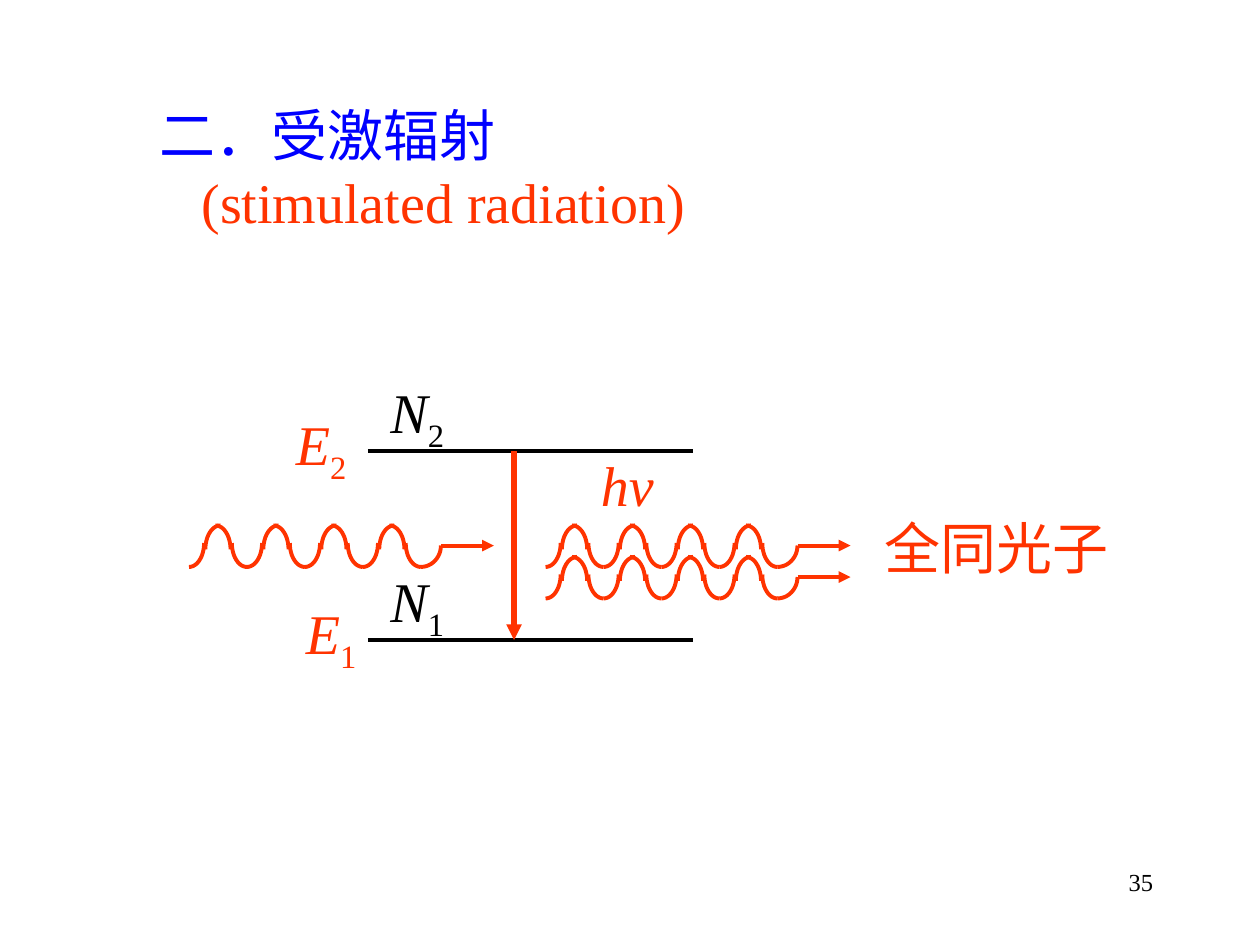
import math

from lxml import etree
from pptx import Presentation
from pptx.dml.color import RGBColor
from pptx.enum.shapes import MSO_CONNECTOR
from pptx.enum.text import MSO_AUTO_SIZE, PP_ALIGN
from pptx.oxml.ns import qn
from pptx.util import Inches, Pt

STRAIGHT = MSO_CONNECTOR.STRAIGHT
FIT_TEXT = MSO_AUTO_SIZE.SHAPE_TO_FIT_TEXT
LEFT, RIGHT = PP_ALIGN.LEFT, PP_ALIGN.RIGHT
FONT = "Times New Roman"
BLACK, BLUE, RED = "000000", "0000FF", "FF3300"
PERIODS, PERIOD = 4, 0.46


def color(value):
    """Turn a hex string into a colour."""
    return RGBColor.from_string(value)


def style_para(para, text, hue, size=32, italic=False, align=LEFT):
    """Fill a paragraph and set its font."""
    para.add_run().text = text
    para.alignment = align
    para.font.name = FONT
    para.font.size = Pt(size)
    para.font.italic = italic
    para.font.color.rgb = color(hue)


def add_text(shapes, box, text, hue, wrap=False, **style):
    """Add a text box with one paragraph and return its frame."""
    frame = shapes.add_textbox(*map(Inches, box)).text_frame
    frame.word_wrap = wrap
    style_para(frame.paragraphs[0], text, hue, **style)
    return frame


def add_line(shapes, start, end, hue, width=2.25, arrow=False):
    """Add a straight line, with an arrowhead at its end if asked."""
    line = shapes.add_connector(STRAIGHT, *map(Inches, (*start, *end)))
    line.line.color.rgb = color(hue)
    line.line.width = Pt(width)
    if arrow:
        etree.SubElement(line.line._get_or_add_ln(), qn("a:tailEnd"), type="triangle")
    etree.SubElement(line._element.spPr, qn("a:effectLst"))


def add_quarter(shapes, apex, width, height, steps=12):
    """Draw a quarter ellipse from its flat apex to its upright side."""
    angles = [math.pi / 2 * step / steps for step in range(steps + 1)]
    points = [
        (Inches(apex[0] + width * math.sin(angle)),
         Inches(apex[1] + height * (1 - math.cos(angle))))
        for angle in angles
    ]
    builder = shapes.build_freeform(*points[0])
    builder.add_line_segments(points[1:], close=False)
    curve = builder.convert_to_shape()
    curve.fill.background()
    curve.line.color.rgb = color(RED)
    curve.line.width = Pt(2.25)
    curve.shadow.inherit = False


def add_photon(shapes, left, top):
    """Draw a wavy photon that ends in an arrow."""
    bottom = top + 0.33
    for index in range(PERIODS):
        start = left + index * PERIOD
        add_quarter(shapes, (start + 0.25, top), -0.12, 0.19)
        add_quarter(shapes, (start, bottom), 0.12, -0.19)
        add_quarter(shapes, (start + 0.21, top), 0.12, 0.19)
        add_quarter(shapes, (start + PERIOD, bottom), -0.12, -0.19)
    add_quarter(shapes, (left + PERIODS * PERIOD, bottom), 0.16, -0.17)
    level = bottom - 0.17
    add_line(shapes, (left + 2, level), (left + 2.42, level), RED, arrow=True)


def add_symbol(shapes, box, letter, index, hue):
    """Add an italic letter with an upright subscript."""
    frame = add_text(shapes, box, letter, hue, italic=True)
    frame.auto_size = FIT_TEXT
    span = frame.paragraphs[0].add_run()
    span.text = index
    span.font.italic = False
    span.font._element.set("baseline", "-25000")


def add_heading(page, box):
    """Add the section title and its indented translation."""
    frame = add_text(page.shapes, box, "二．受激辐射", BLUE, wrap=True)
    para = frame.add_paragraph()
    style_para(para, "(stimulated radiation)", RED)
    para._p.get_or_add_pPr().set("marL", str(Inches(0.33)))


def add_levels(page, left, top):
    """Draw the two energy levels with their labels."""
    shapes = page.shapes.add_group_shape().shapes
    for index, label_left, offset in (("1", 2.33, 1.5), ("2", 2.25, 0)):
        level = top + offset
        add_line(shapes, (left, level), (left + 2.58, level), BLACK)
        add_symbol(shapes, (label_left, level - 0.38, 0.64, 0.63), "E", index, RED)
        add_symbol(shapes, (left + 0.08, level - 0.63, 0.67, 0.63), "N", index, BLACK)


def add_emission(page, left, top):
    """Draw the two outgoing photons with their energy."""
    shapes = page.shapes.add_group_shape().shapes
    add_text(shapes, (left + 0.34, top - 0.64, 0.68, 0.63), "hν", RED, italic=True)
    for offset in (0, 0.25):
        add_photon(shapes, left, top + offset)


def main():
    """Build the slide and save the deck."""
    deck = Presentation()
    deck.slide_width, deck.slide_height = Inches(10), Inches(7.5)
    page = deck.slides.add_slide(deck.slide_layouts[6])
    add_text(page.shapes, (7.17, 6.83, 2.08, 0.5), "35", BLACK,
             wrap=True, size=14, align=RIGHT)
    add_heading(page, (1.17, 0.75, 6.58, 1.17))
    add_levels(page, 2.92, 3.58)
    add_line(page.shapes, (4.08, 3.58), (4.08, 5.08), RED, width=3, arrow=True)
    add_photon(page.shapes.add_group_shape().shapes, 1.5, 4.17)
    add_text(page.shapes, (6.92, 4.03, 1.99, 0.63), "全同光子", RED)
    add_emission(page, 4.33, 4.17)
    deck.save("out.pptx")


if __name__ == "__main__":
    main()
